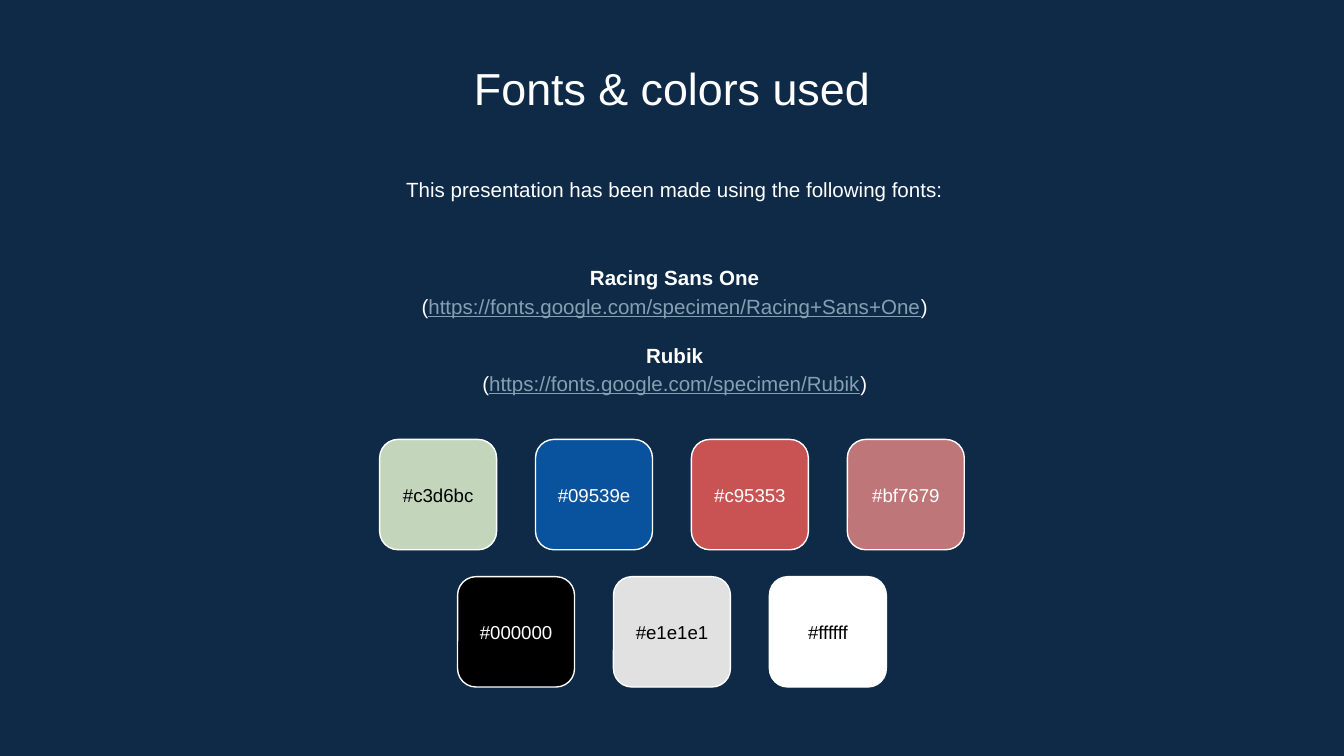
from pptx import Presentation
from pptx.dml.color import RGBColor
from pptx.enum.shapes import MSO_SHAPE
from pptx.enum.text import MSO_ANCHOR, MSO_AUTO_SIZE, PP_ALIGN
from pptx.util import Inches, Pt

WIDTH = Inches(10)
HEIGHT = WIDTH * 9 // 16
FONT = "Arial"
COLORS = {"background": "0E2A47", "light": "FFFFFF", "dark": "000000", "link": "869FB2"}
SWATCH_ROWS = [
    [("c3d6bc", "dark"), ("09539e", "light"), ("c95353", "light"), ("bf7679", "light")],
    [("000000", "light"), ("e1e1e1", "dark"), ("ffffff", "dark")],
]
FONT_SOURCES = [
    ("Racing Sans One", "https://fonts.google.com/specimen/Racing+Sans+One"),
    ("Rubik", "https://fonts.google.com/specimen/Rubik"),
]


def rgb(name):
    """Return the named palette colour."""
    return RGBColor.from_string(COLORS[name])


def to_emu(box):
    """Turn left, top, width and height in percent of the slide into lengths."""
    left, top, width, height = box
    return (int(WIDTH * left / 100), int(HEIGHT * top / 100),
            int(WIDTH * width / 100), int(HEIGHT * height / 100))


def prepare_frame(shape, anchor):
    """Set wrapping, insets and anchor, and return the text frame."""
    frame = shape.text_frame
    frame.word_wrap = True
    frame.auto_size = MSO_AUTO_SIZE.NONE
    frame.vertical_anchor = anchor
    frame.margin_left = frame.margin_right = Inches(0.1)
    frame.margin_top = frame.margin_bottom = Inches(0.1)
    return frame


def format_para(para, size, color="light", spacing=1.0, bold=False):
    """Centre a paragraph and format its runs."""
    para.alignment = PP_ALIGN.CENTER
    para.line_spacing = spacing
    for span in para.runs:
        span.font.name = FONT
        span.font.size = Pt(size)
        span.font.bold = bold
        span.font.color.rgb = rgb(color)


def place_title(page, box):
    """Fill and format the title placeholder."""
    title = page.shapes.title
    title.left, title.top, title.width, title.height = to_emu(box)
    frame = prepare_frame(title, MSO_ANCHOR.TOP)
    frame.text = "Fonts & colors used"
    format_para(frame.paragraphs[0], 24)


def add_intro(page, box):
    """Add the introductory line."""
    frame = prepare_frame(page.shapes.add_textbox(*to_emu(box)), MSO_ANCHOR.TOP)
    frame.text = "This presentation has been made using the following fonts:"
    format_para(frame.paragraphs[0], 11, spacing=1.15)


def add_font_list(page, box):
    """Add each font name with its address below."""
    frame = prepare_frame(page.shapes.add_textbox(*to_emu(box)), MSO_ANCHOR.MIDDLE)
    for index, (name, address) in enumerate(FONT_SOURCES):
        heading = frame.add_paragraph() if index else frame.paragraphs[0]
        heading.text = name
        format_para(heading, 11, spacing=1.15, bold=True)
        if index:
            heading.space_before = Pt(11)
        para = frame.add_paragraph()
        for text in ("(", address, ")"):
            para.add_run().text = text
        format_para(para, 11, spacing=1.15)
        link = para.runs[1].font
        link.color.rgb = rgb("link")
        link.underline = True


def add_swatch(page, box, code, text_color):
    """Add one rounded tile with its colour code centred on it."""
    tile = page.shapes.add_shape(MSO_SHAPE.ROUNDED_RECTANGLE, *to_emu(box))
    tile.shadow.inherit = False
    tile.fill.solid()
    tile.fill.fore_color.rgb = RGBColor.from_string(code.upper())
    tile.line.color.rgb = rgb("light")
    tile.line.width = Pt(0.75)
    left, top, width, height = box
    label_box = (left, top + height * 0.21, width, height * 0.58)
    label = page.shapes.add_textbox(*to_emu(label_box))
    frame = prepare_frame(label, MSO_ANCHOR.MIDDLE)
    frame.text = f"#{code}"
    format_para(frame.paragraphs[0], 10, text_color)


def add_swatches(page, box):
    """Lay out centred rows of tiles, with gaps a third of a tile wide."""
    left, top, width, height = box
    most = max(len(row) for row in SWATCH_ROWS)
    gap = width / (4 * most - 1)
    tile_width, tile_height = 3 * gap, height * 4.1 / 9.2
    for row_index, row in enumerate(SWATCH_ROWS):
        start = left + (most - len(row)) * 2 * gap
        row_top = top + row_index * (height - tile_height)
        for column, (code, text_color) in enumerate(row):
            tile_box = (start + column * 4 * gap, row_top, tile_width, tile_height)
            add_swatch(page, tile_box, code, text_color)


def main():
    """Build and save the slide."""
    deck = Presentation()
    deck.slide_width, deck.slide_height = WIDTH, HEIGHT
    page = deck.slides.add_slide(deck.slide_layouts[5])
    page.background.fill.solid()
    page.background.fill.fore_color.rgb = rgb("background")
    place_title(page, (11.45, 6.22, 77.1, 9.42))
    add_intro(page, (11.65, 21.16, 77.1, 8.53))
    add_font_list(page, (11.65, 31.29, 77.1, 24.36))
    add_swatches(page, (28.25, 58.13, 43.5, 32.75))
    deck.save("out.pptx")


if __name__ == "__main__":
    main()
